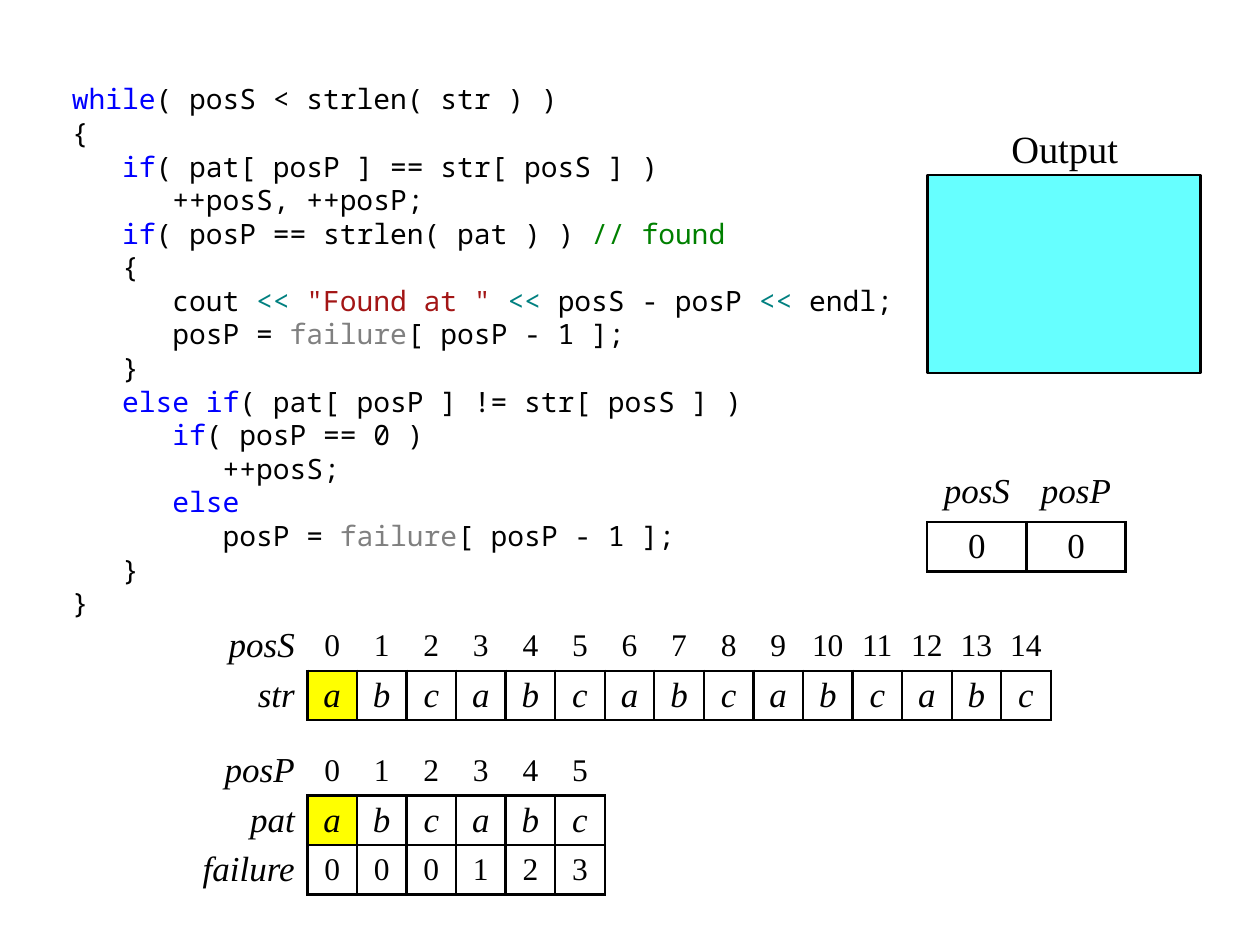
from dataclasses import dataclass

from pptx import Presentation
from pptx.dml.color import RGBColor
from pptx.enum.shapes import MSO_SHAPE
from pptx.enum.text import MSO_ANCHOR, PP_ALIGN
from pptx.oxml.ns import qn
from pptx.util import Inches, Pt
from lxml import etree

TOP, MID = MSO_ANCHOR.TOP, MSO_ANCHOR.MIDDLE
LEFT, MIDDLE, RIGHT = PP_ALIGN.LEFT, PP_ALIGN.CENTER, PP_ALIGN.RIGHT
RECT = MSO_SHAPE.RECTANGLE
NO_GRID = "{2D5ABB26-0587-4C30-8999-92F81FD0307C}"
UNIT = 5.9 / 15  # side of one array cell


@dataclass(frozen=True)
class Theme:
    mono: str = "Noto Sans Mono"
    serif: str = "Times New Roman"
    black: str = "000000"
    key: str = "0000FF"
    note: str = "008000"
    sign: str = "008080"
    quote: str = "A31515"
    dim: str = "808080"
    mark: str = "FFFF00"
    white: str = "FFFFFF"
    panel: str = "66FFFF"
    code: float = 16
    pitch: float = 19.2
    digit: float = 18
    name: float = 20
    head: float = 22
    line: float = 1.5


@dataclass(frozen=True)
class Grid:
    left: float
    top: float
    rows: list[list[str]]
    label: float = 0  # width of the label column, if any
    col: float = UNIT
    size: float = 18
    lit: bool = False  # first cell of the first boxed row is marked


T = Theme()

KEY, NOTE, SIGN, QUOTE, DIM = T.key, T.note, T.sign, T.quote, T.dim
CODE = [
    [("while", KEY), "( posS < strlen( str ) )"],
    ["{"],
    ["   ", ("if", KEY), "( pat[ posP ] == str[ posS ] )"],
    ["      ++posS, ++posP;"],
    ["   ", ("if", KEY), "( posP == strlen( pat ) ) ", ("// found", NOTE)],
    ["   {"],
    ["      cout ", ("<< ", SIGN), ("\"Found at \" ", QUOTE), ("<< ", SIGN),
     "posS - posP ", ("<< ", SIGN), "endl;"],
    ["      posP = ", ("failure", DIM), "[ posP - 1 ];"],
    ["   }"],
    ["   ", ("else if", KEY), "( pat[ posP ] != str[ posS ] )"],
    ["      ", ("if", KEY), "( posP == 0 )"],
    ["         ++posS;"],
    ["      ", ("else", KEY)],
    ["         posP = ", ("failure", DIM), "[ posP - 1 ];"],
    ["   }"],
    ["}"],
]

GRIDS = [
    Grid(1.65, 4.93, [["posS", *map(str, range(15))],
                      ["str", *"abc" * 5]], label=0.79, lit=True),
    Grid(7.36, 3.75, [["posS", "posP"], ["0", "0"]], col=2 * UNIT, size=T.name),
    Grid(1.46, 5.92, [["posP", *map(str, range(6))],
                      ["pat", *"abc" * 2],
                      ["failure", *"000123"]], label=0.98, lit=True),
]


def rgb(hue: str) -> RGBColor:
    return RGBColor.from_string(hue)


def add_run(para, text: str, face: str, size: float, hue: str = T.black,
            slant: bool = False) -> None:
    run = para.add_run()
    run.text = text
    font = run.font
    font.name, font.size, font.italic = face, Pt(size), slant
    font.color.rgb = rgb(hue)


def set_edges(cell, edges: dict[str, bool]) -> None:
    props = cell._tc.get_or_add_tcPr()
    for side, shown in edges.items():
        line = etree.SubElement(props, qn(f"a:ln{side}"), w=str(Pt(T.line)))
        if shown:
            fill = etree.SubElement(line, qn("a:solidFill"))
            etree.SubElement(fill, qn("a:srgbClr"), val=T.black)
        else:
            etree.SubElement(line, qn("a:noFill"))


def draw_code(slide) -> None:
    body = slide.placeholders[1]
    body.left, body.top = Inches(0.47), Inches(0.6)
    body.width, body.height = Inches(6.69), Inches(4.33)
    frame = body.text_frame
    frame.word_wrap, frame.vertical_anchor = True, TOP
    frame.margin_left, frame.margin_right = Inches(0.1), Inches(0.04)
    frame.margin_top = frame.margin_bottom = Inches(0.05)
    for i, parts in enumerate(CODE):
        para = frame.add_paragraph() if i else frame.paragraphs[0]
        props = para._p.get_or_add_pPr()
        props.set("marL", "0")
        props.set("indent", "0")
        etree.SubElement(props, qn("a:buNone"))
        para.alignment = LEFT
        para.line_spacing = Pt(T.pitch)
        para.space_before = para.space_after = Pt(0)
        for part in parts:
            text, hue = (part, T.black) if isinstance(part, str) else part
            add_run(para, text, T.mono, T.code, hue)


def draw_grid(slide, grid: Grid) -> None:
    high, wide = len(grid.rows), len(grid.rows[0])
    first = 1 if grid.label else 0  # first boxed column
    widths = [grid.label] * first + [grid.col] * (wide - first)
    frame = slide.shapes.add_table(
        high, wide, Inches(grid.left), Inches(grid.top),
        Inches(sum(widths)), Inches(high * UNIT))
    table = frame.table
    table.first_row = table.horz_banding = False
    table._tbl.tblPr.find(qn("a:tableStyleId")).text = NO_GRID
    for col, width in zip(table.columns, widths):
        col.width = Inches(width)
    for row in table.rows:
        row.height = Inches(UNIT)

    def boxed(r: int, c: int) -> bool:
        return 1 <= r < high and first <= c < wide

    for r, row in enumerate(grid.rows):
        for c, text in enumerate(row):
            cell = table.cell(r, c)
            box = boxed(r, c)
            # Neighbours share an edge, so both carry its line
            set_edges(cell, {"L": box or boxed(r, c - 1),
                             "R": box or boxed(r, c + 1),
                             "T": box or boxed(r - 1, c),
                             "B": box or boxed(r + 1, c)})
            if box:
                cell.fill.solid()
                lit = grid.lit and (r, c) == (1, first)
                cell.fill.fore_color.rgb = rgb(T.mark if lit else T.white)
            else:
                cell.fill.background()
            label = c < first
            cell.vertical_anchor = MID if first or r else TOP
            cell.margin_left = cell.margin_right = Inches(0.1 if label else 0.04)
            cell.margin_top = cell.margin_bottom = 0
            para = cell.text_frame.paragraphs[0]
            para.alignment = RIGHT if label else MIDDLE
            word = text.isalpha()
            add_run(para, text, T.serif, T.name if word else grid.size, slant=word)


def draw_panel(slide) -> None:
    panel = slide.shapes.add_shape(
        RECT, Inches(7.36), Inches(1.39), Inches(2.17), Inches(1.57))
    panel.shadow.inherit = False
    panel.fill.solid()
    panel.fill.fore_color.rgb = rgb(T.panel)
    panel.line.color.rgb = rgb(T.black)
    panel.line.width = Pt(T.line)

    title = slide.shapes.add_textbox(
        Inches(7.76), Inches(0.99), Inches(1.38), Inches(0.39))
    frame = title.text_frame
    frame.word_wrap = True
    frame.margin_top = 0
    para = frame.paragraphs[0]
    para.alignment = MIDDLE
    add_run(para, "Output", T.serif, T.head)


def main() -> None:
    deck = Presentation()
    deck.slide_width, deck.slide_height = Inches(10), Inches(7.5)
    slide = deck.slides.add_slide(deck.slide_layouts[1])
    # The slide has no title
    title = slide.shapes.title._element
    title.getparent().remove(title)
    draw_code(slide)
    for grid in GRIDS:
        draw_grid(slide, grid)
    draw_panel(slide)
    deck.save("out.pptx")


if __name__ == "__main__":
    main()
